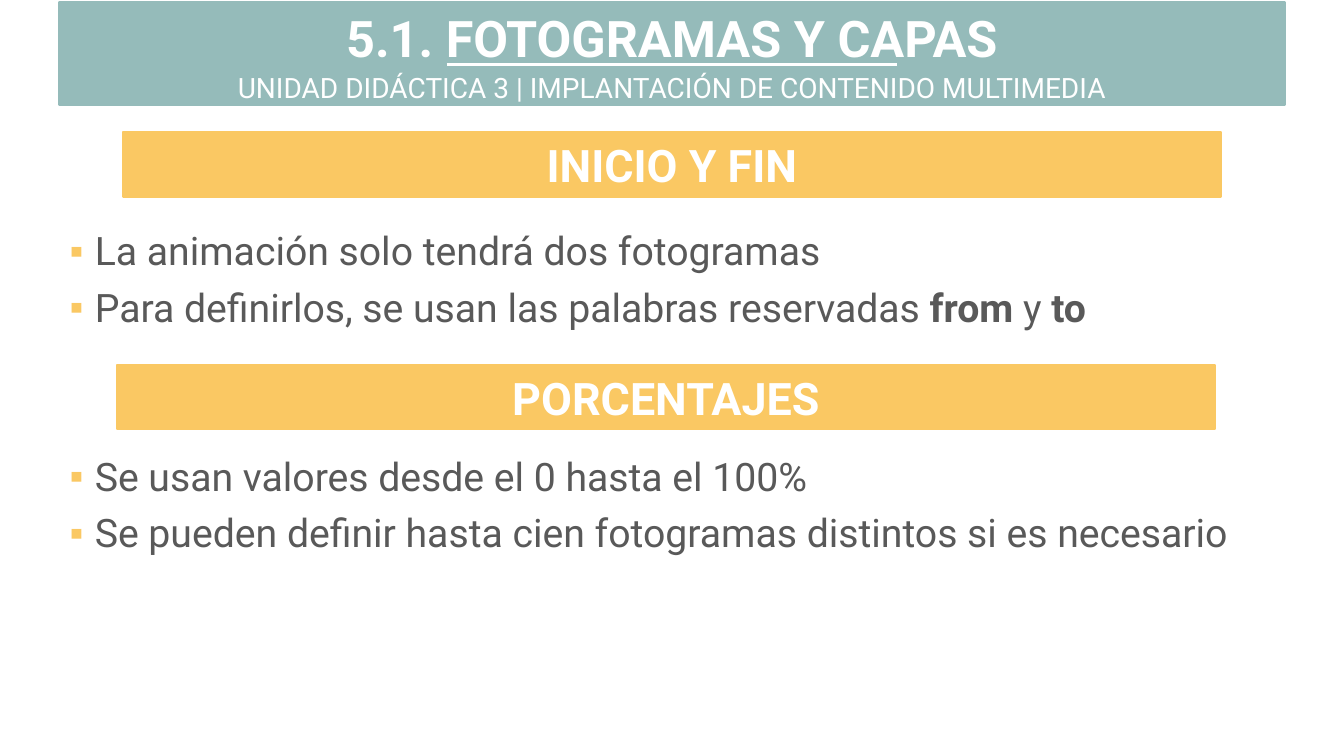
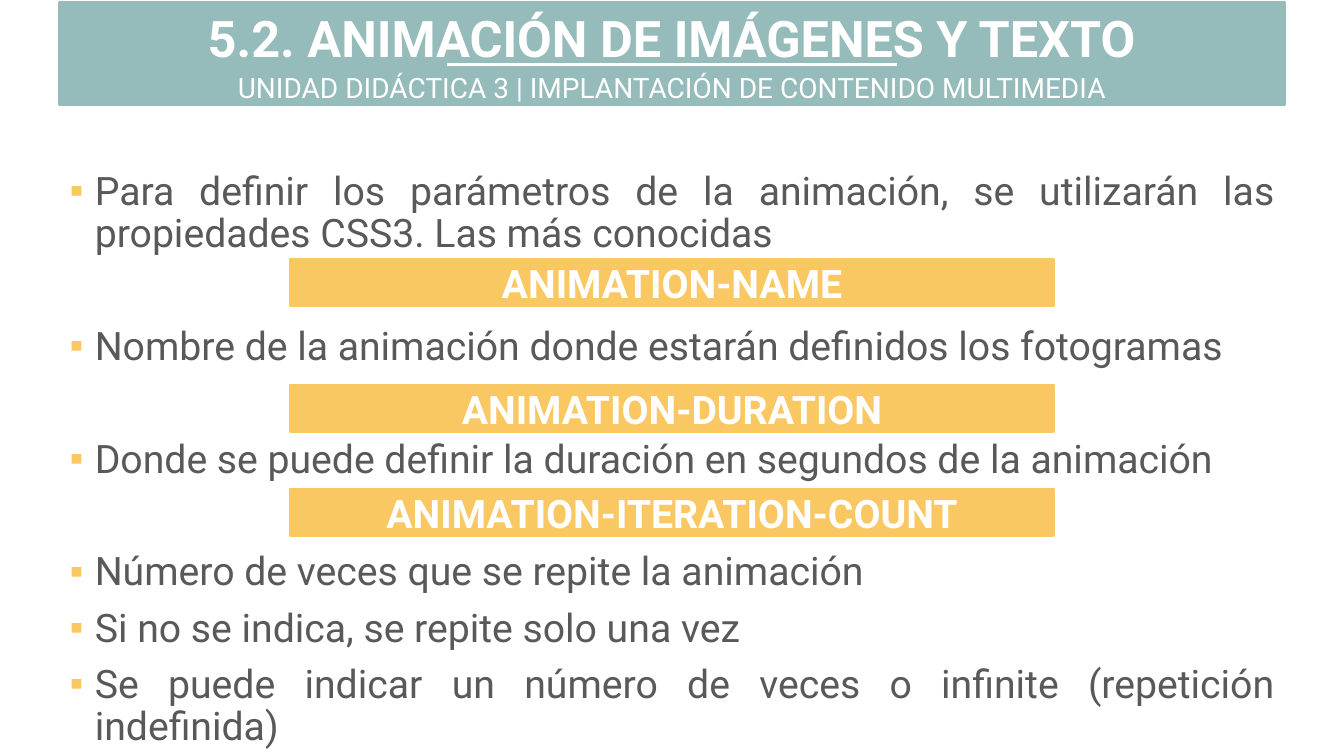
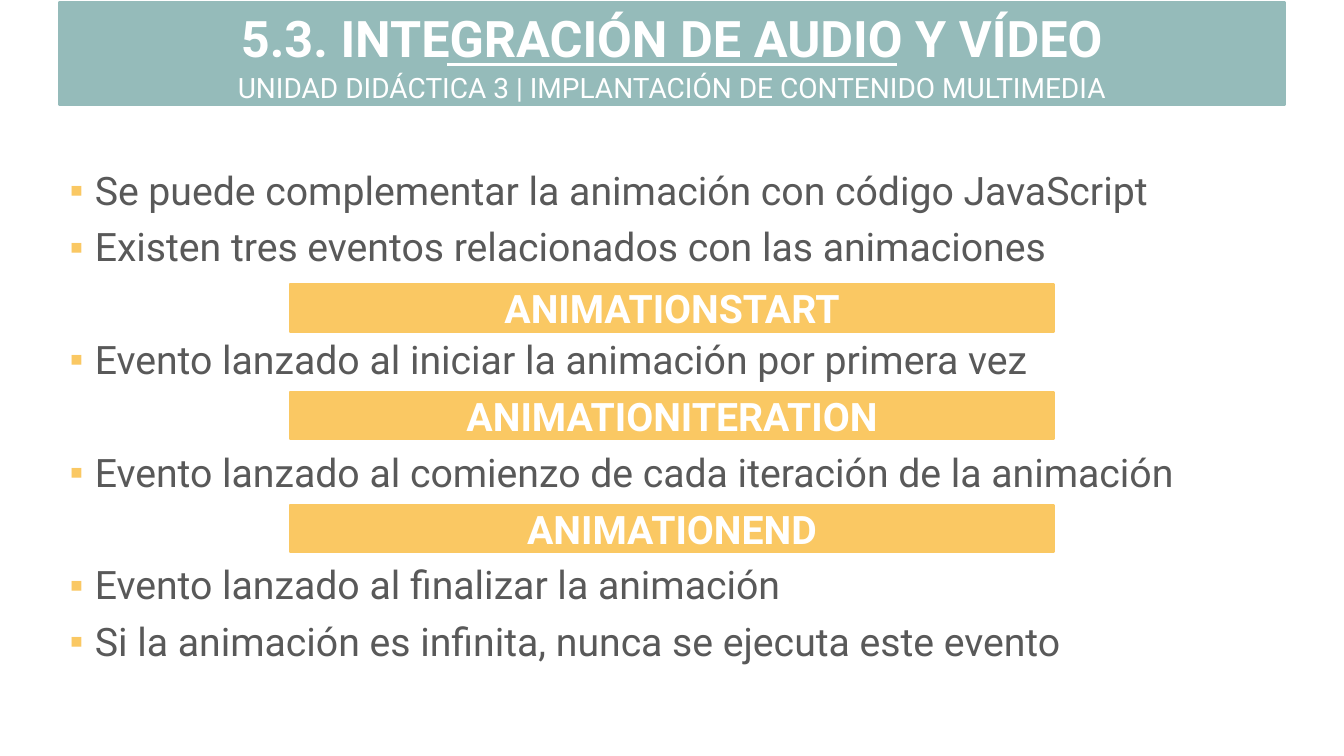
from lxml.etree import SubElement
from pptx import Presentation
from pptx.dml.color import RGBColor
from pptx.enum.shapes import MSO_CONNECTOR, MSO_SHAPE
from pptx.enum.text import MSO_ANCHOR, MSO_AUTO_SIZE, PP_ALIGN
from pptx.oxml.ns import qn
from pptx.util import Inches, Pt

HUES = {"teal": "95BBBA", "gold": "FAC863", "gray": "595959", "white": "FFFFFF"}
FONT = "Roboto"
UNIT = "UNIDAD DIDÁCTICA 3 | IMPLANTACIÓN DE CONTENIDO MULTIMEDIA"
LEFT, WIDTH = 0.59, 12.15
GAP, STEP = 10, 40.3


def hue(name):
    return RGBColor.from_string(HUES[name])


def write(par, text, size=28, color="white", bold=False, align=PP_ALIGN.CENTER):
    par.alignment = align
    for i, part in enumerate(text.split("*")):
        if part:
            run = par.add_run()
            run.text = part
            run.font.name = FONT
            run.font.size = Pt(size)
            run.font.bold = bold or i % 2 == 1
            run.font.color.rgb = hue(color)


class Deck:
    """Hold the shared style and the current slide."""

    def __init__(self):
        self.show = Presentation()
        self.show.slide_width = Inches(13.33)
        self.show.slide_height = Inches(7.5)
        self.slide = None

    def place(self, shape, left, top, width, height):
        shape.left, shape.top = Inches(left), Inches(top)
        shape.width, shape.height = Inches(width), Inches(height)

    def paint(self, shape, color):
        shape.fill.solid()
        shape.fill.fore_color.rgb = hue(color)
        shape.line.color.rgb = hue(color)
        shape.line.width = Pt(1.5)

    def head(self, text):
        self.slide = self.show.slides.add_slide(self.show.slide_layouts[1])
        title = self.slide.shapes.title
        self.place(title, LEFT, 0.02, WIDTH, 1.01)
        self.paint(title, "teal")
        frame = title.text_frame
        frame.vertical_anchor = MSO_ANCHOR.TOP
        frame.auto_size = MSO_AUTO_SIZE.NONE
        write(frame.paragraphs[0], text, size=36, bold=True)
        self.band(UNIT, LEFT, 0.69, WIDTH, 0.35, color="teal", size=20, bold=False)
        self.rule(4.43, 8.9, 0.64)

    def rule(self, start, end, top):
        line = self.slide.shapes.add_connector(
            MSO_CONNECTOR.STRAIGHT, Inches(start), Inches(top), Inches(end), Inches(top))
        line.line.color.rgb = hue("white")
        line.line.width = Pt(2.25)
        SubElement(line.element.spPr, qn("a:effectLst"))

    def band(self, text, left, top, width, height, color="gold", size=28, bold=True):
        box = self.slide.shapes.add_shape(
            MSO_SHAPE.RECTANGLE, Inches(left), Inches(top), Inches(width), Inches(height))
        box.shadow.inherit = False
        self.paint(box, color)
        box.text_frame.vertical_anchor = MSO_ANCHOR.MIDDLE
        write(box.text_frame.paragraphs[0], text, size=size, bold=bold)

    def list(self, items, top=1.65):
        body = self.slide.placeholders[1]
        self.place(body, LEFT, top, WIDTH, 7.08 - top)
        frame = body.text_frame
        frame.auto_size = MSO_AUTO_SIZE.NONE
        for i, (skip, text) in enumerate(items):
            par = frame.add_paragraph() if i else frame.paragraphs[0]
            par.line_spacing = 0.9
            par.space_before = Pt(GAP + skip * STEP)
            write(par, text, color="gray", align=PP_ALIGN.JUSTIFY)
            self.mark(par)

    def mark(self, par):
        props = par._p.get_or_add_pPr()
        props.set("marL", str(Inches(0.25)))
        props.set("indent", str(Inches(-0.25)))
        tint = SubElement(props, qn("a:buClr"))
        SubElement(tint, qn("a:srgbClr"), val=HUES["gold"])
        SubElement(props, qn("a:buChar"), char="▪")

    def terms(self, pairs):
        for top, text in pairs:
            self.band(text, 2.88, top, 7.57, 0.47)


def main():
    deck = Deck()

    deck.head("5.1. FOTOGRAMAS Y CAPAS")
    deck.list([
        (0, "La animación solo tendrá dos fotogramas"),
        (0, "Para definirlos, se usan las palabras reservadas *from* y *to*"),
        (2, "Se usan valores desde el 0 hasta el 100%"),
        (0, "Se pueden definir hasta cien fotogramas distintos si es necesario"),
    ], top=2.25)
    deck.band("INICIO Y FIN", 1.22, 1.31, 10.89, 0.64, size=32)
    deck.band("PORCENTAJES", 1.16, 3.62, 10.89, 0.64, size=32)

    deck.head("5.2. ANIMACIÓN DE IMÁGENES Y TEXTO")
    deck.list([
        (0, "Para definir los parámetros de la animación, se utilizarán las "
            "propiedades CSS3. Las más conocidas"),
        (1, "Nombre de la animación donde estarán definidos los fotogramas"),
        (1, "Donde se puede definir la duración en segundos de la animación"),
        (1, "Número de veces que se repite la animación"),
        (0, "Si no se indica, se repite solo una vez"),
        (0, "Se puede indicar un número de veces o infinite (repetición indefinida)"),
    ])
    deck.terms([(2.57, "ANIMATION-NAME"), (3.82, "ANIMATION-DURATION"),
                (4.85, "ANIMATION-ITERATION-COUNT")])

    deck.head("5.3. INTEGRACIÓN DE AUDIO Y VÍDEO")
    deck.list([
        (0, "Se puede complementar la animación con código JavaScript"),
        (0, "Existen tres eventos relacionados con las animaciones"),
        (1, "Evento lanzado al iniciar la animación por primera vez"),
        (1, "Evento lanzado al comienzo de cada iteración de la animación"),
        (1, "Evento lanzado al finalizar la animación"),
        (0, "Si la animación es infinita, nunca se ejecuta este evento"),
    ])
    deck.terms([(2.82, "ANIMATIONSTART"), (3.89, "ANIMATIONITERATION"),
                (5.01, "ANIMATIONEND")])

    deck.show.save("out.pptx")


if __name__ == "__main__":
    main()
